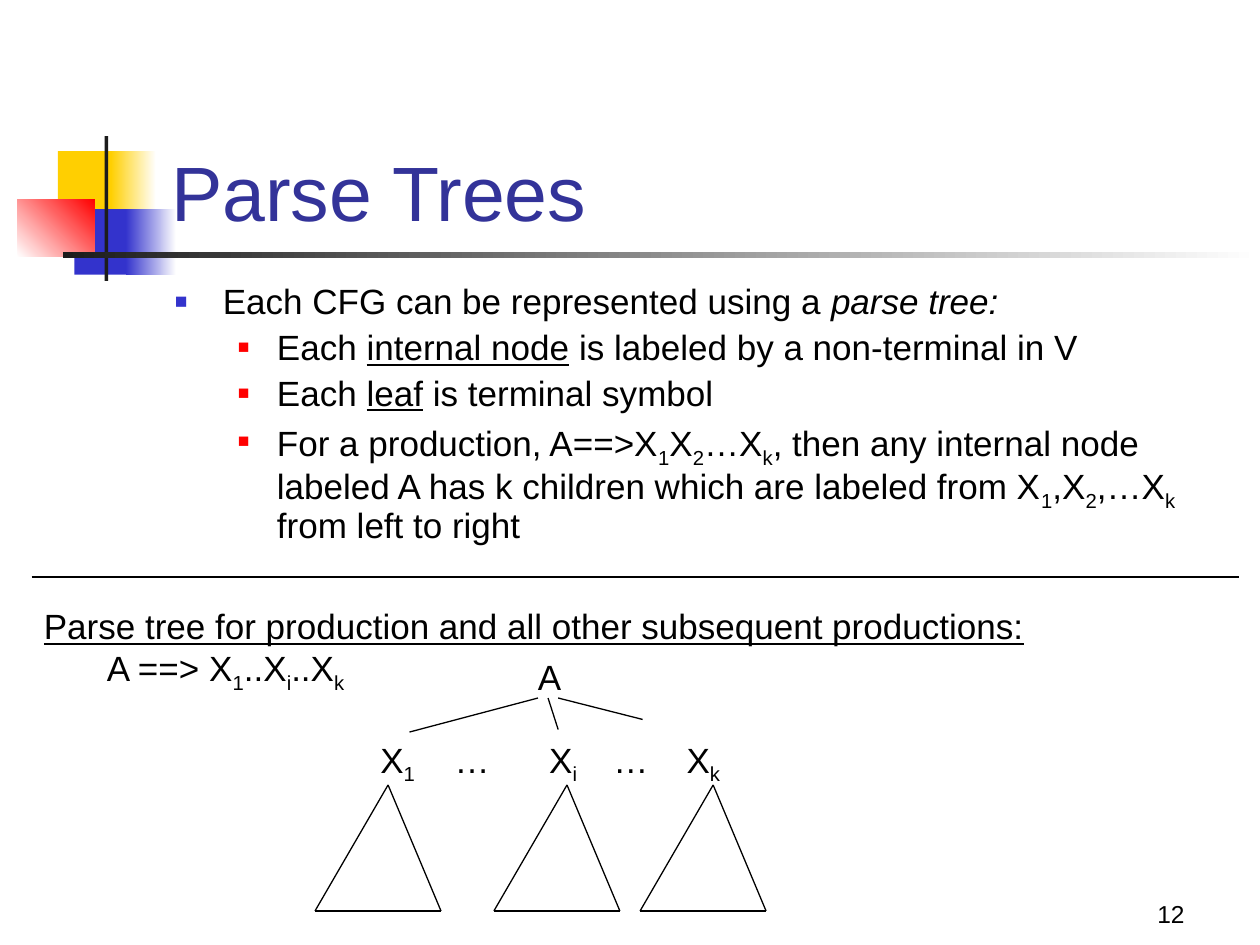
from lxml import etree
from pptx import Presentation
from pptx import util as u
from pptx.dml.color import RGBColor
from pptx.enum import shapes, text
from pptx.oxml.ns import qn

Inches, Pt = u.Inches, u.Pt
BLACK, FONT = "000000", "Arial"

# left, top, width, height, colours, gradient angle
DECOR = [
    (0.46, 1.2, 0.48, 0.52, ["FFCF01"], 0),
    (0.88, 1.2, 0.36, 0.52, ["FFCF01", "FFFFFF"], 0),
    (0.59, 1.66, 0.46, 0.52, ["3333CC"], 0),
    (1, 1.66, 0.4, 0.52, ["3333CC", "FFFFFF"], 0),
    (0.14, 1.58, 0.61, 0.46, ["FFFFFF", "FF0000"], 45),
    (0.83, 1.08, 0.03, 1.15, ["1C1C1C"], 0),
    (0.5, 2, 9.5, 0.05, ["1C1C1C", "FFFFFF"], 0),
]

# Each paragraph is a list of (words, style); styles: i, u, sub
BULLETS = [
    (0, [("Each CFG can be represented using a ", ""), ("parse tree:", "i")]),
    (1, [("Each ", ""), ("internal node", "u"),
         (" is labeled by a non-terminal in V", "")]),
    (1, [("Each ", ""), ("leaf", "u"), (" is terminal symbol", "")]),
    (1, [("For a production, A==>X", ""), ("1", "sub"), ("X", ""), ("2", "sub"),
         ("…X", ""), ("k", "sub"),
         (", then any internal node labeled A has k children which are "
          "labeled from X", ""), ("1", "sub"), (",X", ""), ("2", "sub"),
         (",…X", ""), ("k", "sub"), (" from left to right ", "")]),
]
# margin, hanging indent, bullet colour, bullet size in percent
LEVELS = [(0.38, -0.38, "3333CC", 60), (0.81, -0.31, "FF0000", 55)]

CAPTION = [
    [("Parse tree for production and all other subsequent productions:", "u")],
    [("\tA ==> X", ""), ("1", "sub"), ("..X", ""), ("i", "sub"),
     ("..X", ""), ("k", "sub")],
]

# left, top, width, spans
NODES = [
    (4.17, 5.15, 0.39, [("A", "")]),
    (2.92, 5.81, 0.49, [("X", ""), ("1", "sub")]),
    (3.51, 5.81, 0.48, [("…", "")]),
    (4.26, 5.81, 0.43, [("X", ""), ("i", "sub")]),
    (4.77, 5.81, 0.48, [("…", "")]),
    (5.35, 5.81, 0.48, [("X", ""), ("k", "sub")]),
]
BRANCHES = [((4.27, 5.54), (3.25, 5.81)), ((4.35, 5.54), (4.43, 5.79)),
            ((4.43, 5.54), (5.1, 5.71))]
SUBTREE_LEFTS = [2.5, 3.92, 5.08]
SUBTREE_TOP, SUBTREE_BASE, SUBTREE_WIDTH, APEX = 6.23, 7.23, 1, 0.58
DIVIDER = ((0.25, 4.58), (9.83, 4.58))


def rgb(value):
    """Turn a hex string into a colour."""
    return RGBColor.from_string(value)


def add_block(left, top, width, height, colours, angle):
    """Draw a rectangle with a plain or gradient fill."""
    block = page.shapes.add_shape(shapes.MSO_SHAPE.RECTANGLE, Inches(left),
                                  Inches(top), Inches(width), Inches(height))
    block.shadow.inherit = False
    block.line.fill.background()
    if len(colours) == 1:
        block.fill.solid()
        block.fill.fore_color.rgb = rgb(colours[0])
        return
    block.fill.gradient()
    block.fill.gradient_angle = angle
    for position, (stop, colour) in enumerate(zip(block.fill.gradient_stops, colours)):
        stop.position = position
        stop.color.rgb = rgb(colour)


def add_line(start, end):
    """Draw a thin black line between two points."""
    line = page.shapes.add_connector(shapes.MSO_CONNECTOR.STRAIGHT,
                                     *map(Inches, start + end))
    line.line.color.rgb = rgb(BLACK)
    line.line.width = Pt(0.75)
    etree.SubElement(line._element.spPr, qn("a:effectLst"))


def add_text(left, top, width, height, paragraphs, size=20, colour=BLACK,
             align=None, anchor=text.MSO_ANCHOR.TOP, wrap=True):
    """Add a text box of styled spans and return its paragraphs."""
    box = page.shapes.add_textbox(Inches(left), Inches(top),
                                  Inches(width), Inches(height))
    frame = box.text_frame
    frame.word_wrap = wrap
    frame.vertical_anchor = anchor
    for index, spans in enumerate(paragraphs):
        para = frame.add_paragraph() if index else frame.paragraphs[0]
        para.alignment = align
        for words, style in spans:
            span = para.add_run()
            span.text = words
            font = span.font
            font.name, font.size, font.color.rgb = FONT, Pt(size), rgb(colour)
            if style == "i":
                font.italic = True
            elif style == "u":
                font.underline = True
            elif style == "sub":
                font._element.set("baseline", "-25000")
    return frame.paragraphs


def add_bullet(para, level):
    """Give a paragraph the square bullet and spacing of its level."""
    margin, indent, colour, percent = LEVELS[level]
    para.level = level
    para.line_spacing = 0.9
    para.space_before = Pt(4.6)
    props = para._p.get_or_add_pPr()
    props.set("marL", str(Inches(margin)))
    props.set("indent", str(Inches(indent)))
    tint = etree.SubElement(props, qn("a:buClr"))
    etree.SubElement(tint, qn("a:srgbClr"), val=colour)
    etree.SubElement(props, qn("a:buSzPct"), val=str(percent * 1000))
    etree.SubElement(props, qn("a:buFont"), typeface=FONT)
    etree.SubElement(props, qn("a:buChar"), char="■")


deck = Presentation()
deck.slide_width, deck.slide_height = Inches(10), Inches(7.5)
page = deck.slides.add_slide(deck.slide_layouts[6])

for block_data in DECOR:
    add_block(*block_data)

add_text(7.42, 6.92, 2.08, 0.5, [[("12", "")]], size=14,
         align=text.PP_ALIGN.RIGHT, anchor=text.MSO_ANCHOR.BOTTOM)
add_text(1.26, 0.68, 8.52, 1.25, [[("Parse Trees", "")]], size=44,
         colour="333399", anchor=text.MSO_ANCHOR.BOTTOM)

body = add_text(1.29, 2.21, 8.5, 2.63, [spans for _, spans in BULLETS])
for para, (level, _) in zip(body, BULLETS):
    add_bullet(para, level)

add_line(*DIVIDER)
add_text(0.25, 4.75, 8.03, 0.77, CAPTION, wrap=False)

for left, top, width, spans in NODES:
    add_text(left, top, width, 0.43, [spans], wrap=False)
for start, end in BRANCHES:
    add_line(start, end)
for left in SUBTREE_LEFTS:
    apex = (left + APEX, SUBTREE_TOP)
    corners = [(left, SUBTREE_BASE), (left + SUBTREE_WIDTH, SUBTREE_BASE)]
    add_line(*corners)
    for corner in corners:
        add_line(apex, corner)

deck.save("out.pptx")
